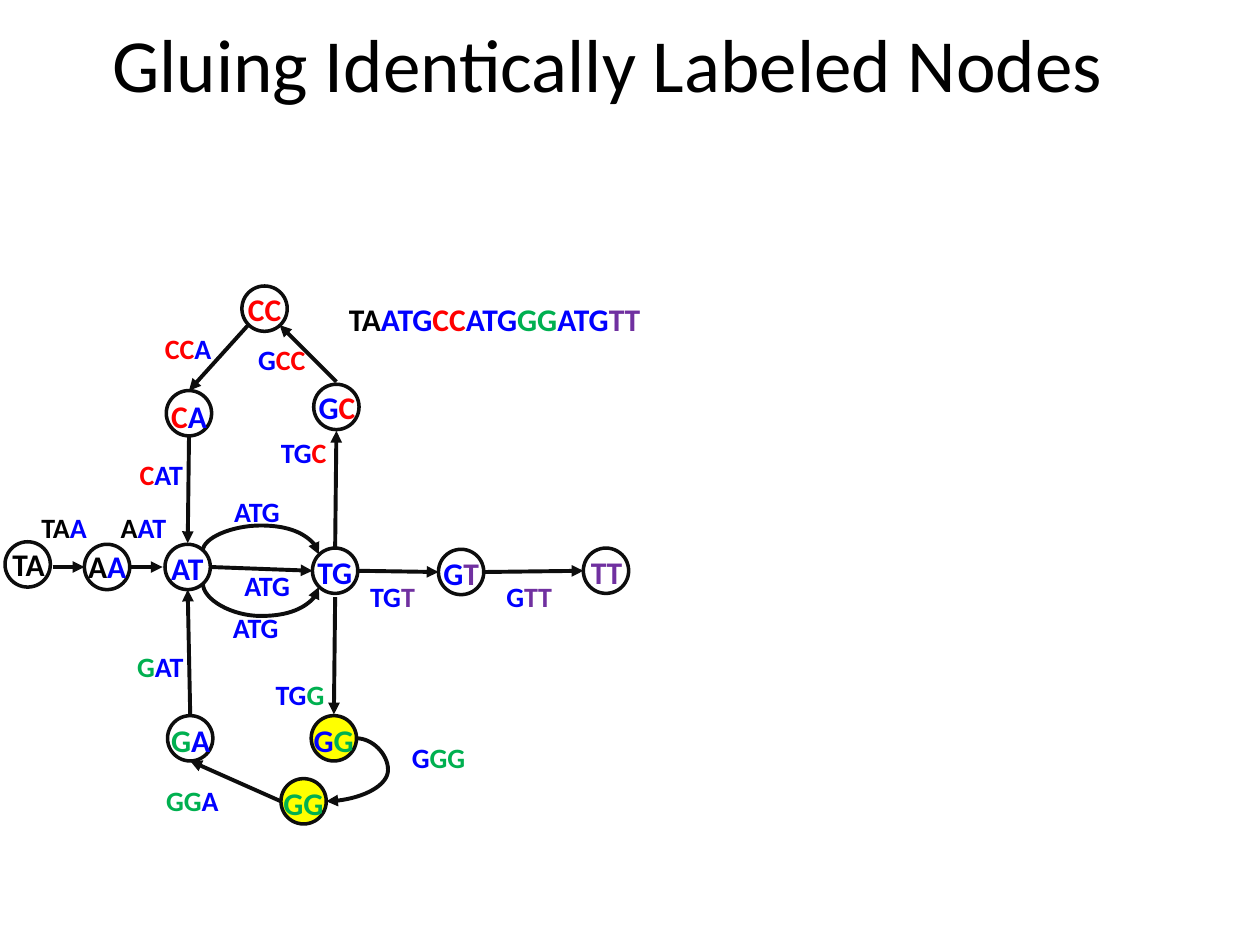
from dataclasses import dataclass, field
from itertools import groupby
from typing import NamedTuple

from lxml import etree
from pptx import Presentation, util as u
from pptx.dml.color import RGBColor
from pptx.enum import shapes, text
from pptx.oxml import ns

Point = tuple[float, float]


@dataclass(frozen=True)
class Theme:
    font: str = "Calibri"
    title_size: float = 42.9
    node_size: float = 18
    edge_size: float = 16
    ring_width: float = 2
    arrow_width: float = 2.25
    ink: str = "0D0D0D"
    highlight: str = "FFFF00"
    letters: dict[str, str] = field(default_factory=lambda: {
        "k": "000000", "b": "0000FF", "r": "FF0000", "g": "00B050", "p": "7030A0"})


class Label(NamedTuple):
    """Text with one colour key per letter."""
    letters: str
    keys: str
    left: float
    top: float
    width: float


class Node(NamedTuple):
    label: Label
    left: float
    top: float
    highlighted: bool = False


class Arrow(NamedTuple):
    start: Point
    end: Point


class Arc(NamedTuple):
    """Curved arrow that swings out to the coordinate `peak`."""
    start: Point
    end: Point
    peak: float
    vertical: bool


THEME = Theme()
DIAMETER = 0.36

NODES = [
    Node(Label("TA", "kk", 0, 4.28, 0.48), 0.04, 4.3),
    Node(Label("CA", "rb", 1.26, 3.1, 0.49), 1.32, 3.1),
    Node(Label("AA", "kb", 0.6, 4.29, 0.51), 0.67, 4.32),
    Node(Label("AT", "bb", 1.26, 4.31, 0.48), 1.31, 4.32),
    Node(Label("GG", "bg", 2.39, 5.67, 0.52), 2.47, 5.68, True),
    Node(Label("GG", "gg", 2.15, 6.17, 0.52), 2.23, 6.18, True),
    Node(Label("GA", "gb", 1.26, 5.67, 0.52), 1.33, 5.68),
    Node(Label("TG", "bb", 2.42, 4.34, 0.49), 2.48, 4.35),
    Node(Label("GT", "bp", 3.42, 4.35, 0.49), 3.48, 4.36),
    Node(Label("TT", "pp", 4.59, 4.34, 0.45), 4.63, 4.35),
    Node(Label("GC", "br", 2.43, 3.03, 0.5), 2.49, 3.05),
    Node(Label("CC", "rr", 1.87, 2.25, 0.47), 1.92, 2.27),
]
EDGE_LABELS = [
    Label("TAA", "kkb", 0.23, 4, 0.59),
    Label("AAT", "kbb", 0.86, 4, 0.59),
    Label("TGC", "bbr", 2.13, 3.41, 0.58),
    Label("GCC", "brr", 1.95, 2.67, 0.58),
    Label("CCA", "rrb", 1.21, 2.58, 0.58),
    Label("CAT", "rbb", 1.01, 3.58, 0.57),
    Label("ATG", "bbb", 1.76, 3.88, 0.59),
    Label("ATG", "bbb", 1.84, 4.46, 0.59),
    Label("ATG", "bbb", 1.75, 4.8, 0.59),
    Label("TGG", "bbg", 2.09, 5.33, 0.6),
    Label("GGG", "bgg", 3.17, 5.83, 0.63),
    Label("GGA", "ggb", 1.22, 6.17, 0.63),
    Label("GAT", "gbb", 0.99, 5.11, 0.59),
    Label("TGT", "bbp", 2.84, 4.55, 0.57),
    Label("GTT", "bpp", 3.92, 4.55, 0.57),
]
GENOME = Label("TAATGCCATGGGATGTT", "kkbbbrrbbbggbbbpp", 2.67, 2.33, 2.63)
ARROWS = [
    Arrow((0.42, 4.5), (0.67, 4.5)),
    Arrow((1.04, 4.5), (1.29, 4.5)),
    Arrow((2.66, 4.35), (2.67, 3.42)),
    Arrow((2.67, 3.03), (2.22, 2.58)),
    Arrow((1.97, 2.58), (1.5, 3.1)),
    Arrow((1.5, 3.47), (1.49, 4.31)),
    Arrow((1.67, 4.5), (2.48, 4.53)),
    Arrow((2.84, 4.53), (3.48, 4.54)),
    Arrow((3.84, 4.54), (4.63, 4.53)),
    Arrow((2.66, 4.74), (2.65, 5.67)),
    Arrow((2.23, 6.36), (1.51, 6.04)),
    Arrow((1.51, 5.68), (1.49, 4.68)),
]
ARCS = [
    Arc((1.61, 4.37), (2.53, 4.4), peak=4.17, vertical=True),
    Arc((1.61, 4.63), (2.53, 4.66), peak=4.89, vertical=True),
    Arc((2.83, 5.86), (2.59, 6.36), peak=3.08, vertical=False),
]


def set_font(font, size: float, color: str, bold: bool) -> None:
    values = {"name": THEME.font, "size": u.Pt(size), "bold": bold}
    for attribute, value in values.items():
        setattr(font, attribute, value)
    font.color.rgb = RGBColor.from_string(color)


def draw_label(parent, label: Label, size: float) -> None:
    height = 0.4 if size == THEME.node_size else 0.37
    box = parent.add_textbox(*map(u.Inches, (label.left, label.top, label.width, height)))
    box.text_frame.word_wrap = False
    paragraph = box.text_frame.paragraphs[0]
    for key, pairs in groupby(zip(label.letters, label.keys), key=lambda pair: pair[1]):
        run = paragraph.add_run()
        run.text = "".join(letter for letter, _ in pairs)
        set_font(run.font, size, THEME.letters[key], bold=True)


def draw_node(parent, node: Node) -> None:
    group = parent.add_group_shape().shapes
    ring = group.add_shape(shapes.MSO_SHAPE.OVAL, u.Inches(node.left), u.Inches(node.top),
                           u.Inches(DIAMETER), u.Inches(DIAMETER))
    ring.shadow.inherit = False
    ring.line.color.rgb = RGBColor.from_string(THEME.ink)
    ring.line.width = u.Pt(THEME.ring_width)
    if node.highlighted:
        ring.fill.solid()
        ring.fill.fore_color.rgb = RGBColor.from_string(THEME.highlight)
    else:
        ring.fill.background()
    draw_label(group, node.label, THEME.node_size)


def draw_arrow(parent, start: Point, end: Point,
               kind=shapes.MSO_CONNECTOR.STRAIGHT):
    arrow = parent.add_connector(kind, *map(u.Inches, (*start, *end)))
    arrow.line.color.rgb = RGBColor.from_string(THEME.ink)
    arrow.line.width = u.Pt(THEME.arrow_width)
    etree.SubElement(arrow.line._get_or_add_ln(), ns.qn("a:tailEnd"), type="triangle")
    etree.SubElement(arrow._element.spPr, ns.qn("a:effectLst"))
    return arrow


def draw_arc(parent, arc: Arc) -> None:
    """A vertical swing is a sideways one turned by 270 degrees about its centre."""
    (x1, y1), (x2, y2) = arc.start, arc.end
    start, end = arc.start, arc.end
    if arc.vertical:
        mid_x, mid_y = (x1 + x2) / 2, (y1 + y2) / 2
        half_w, half_h = (y2 - y1) / 2, (x2 - x1) / 2
        start = (mid_x + half_w, mid_y - half_h)
        end = (mid_x - half_w, mid_y + half_h)
    arrow = draw_arrow(parent, start, end, shapes.MSO_CONNECTOR.CURVE)
    properties = arrow._element.spPr
    if arc.vertical:
        properties.find(ns.qn("a:xfrm")).set("rot", str(270 * 60000))
    first, last = (y1, y2) if arc.vertical else (x1, x2)
    bend = round((arc.peak - first) / (last - first) * 100000)
    guides = properties.find(ns.qn("a:prstGeom")).find(ns.qn("a:avLst"))
    etree.SubElement(guides, ns.qn("a:gd"), name="adj1", fmla=f"val {bend}")


def draw_title(parent, title: str) -> None:
    frame = parent.add_textbox(*map(u.Inches, (0.52, 0.08, 9, 0.83))).text_frame
    values = {"word_wrap": True, "vertical_anchor": text.MSO_ANCHOR.MIDDLE,
              "margin_right": u.Inches(0.5)}
    for attribute, value in values.items():
        setattr(frame, attribute, value)
    paragraph = frame.paragraphs[0]
    paragraph.alignment = text.PP_ALIGN.CENTER
    run = paragraph.add_run()
    run.text = title
    set_font(run.font, THEME.title_size, THEME.letters["k"], bold=False)


def main() -> None:
    deck = Presentation()
    deck.slide_width, deck.slide_height = u.Inches(10), u.Inches(7.5)
    canvas = deck.slides.add_slide(deck.slide_layouts[6]).shapes
    for label in EDGE_LABELS:
        draw_label(canvas, label, THEME.edge_size)
    for node in NODES:
        draw_node(canvas, node)
    draw_label(canvas, GENOME, THEME.node_size)
    for arrow in ARROWS:
        draw_arrow(canvas, arrow.start, arrow.end)
    for arc in ARCS:
        draw_arc(canvas, arc)
    draw_title(canvas, "Gluing Identically Labeled Nodes")
    deck.save("out.pptx")


if __name__ == "__main__":
    main()
